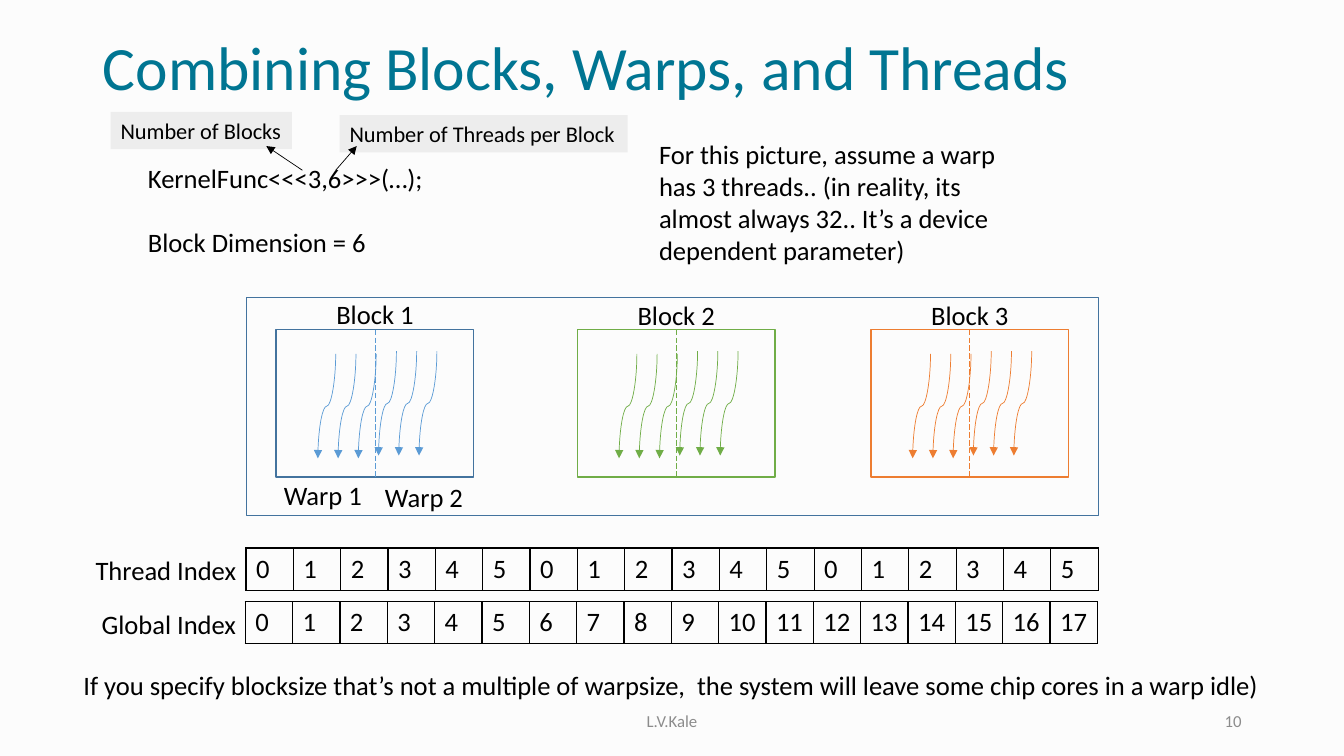
from dataclasses import dataclass

from lxml import etree
from pptx import Presentation
from pptx.dml.color import RGBColor
from pptx.enum.dml import MSO_LINE
from pptx.enum.shapes import MSO_CONNECTOR, MSO_SHAPE
from pptx.enum.text import MSO_ANCHOR, PP_ALIGN
from pptx.oxml.ns import qn
from pptx.util import Cm, Pt

STRAIGHT, CURVE = MSO_CONNECTOR.STRAIGHT, MSO_CONNECTOR.CURVE
RECTANGLE = MSO_SHAPE.RECTANGLE
LONG_DASH = MSO_LINE.LONG_DASH
LEFT, CENTER, RIGHT = PP_ALIGN.LEFT, PP_ALIGN.CENTER, PP_ALIGN.RIGHT
TOP, MIDDLE = MSO_ANCHOR.TOP, MSO_ANCHOR.MIDDLE
TITLE_ONLY = 5
SIDE_TOP, SIDE_BOTTOM = 0, 2


@dataclass(frozen=True)
class Theme:
    font: str = "Calibri"
    background: str = "FCFCFC"
    title: str = "007592"
    text: str = "000000"
    footer: str = "8C8C8C"
    label: str = "EDEDED"
    frame: str = "43739E"
    blue: str = "5B9BD5"
    green: str = "70AD47"
    orange: str = "ED7D31"
    title_size: float = 44
    body_size: float = 19
    label_size: float = 16
    footer_size: float = 12
    thin: float = 0.5
    medium: float = 1


THEME = Theme()
BLOCK_TOP, BLOCK_WIDTH, BLOCK_HEIGHT = 8.31, 4.98, 3.71
WARPS_PER_BLOCK, THREADS_PER_WARP = 2, 3
THREADS_PER_BLOCK = WARPS_PER_BLOCK * THREADS_PER_WARP
THREAD_INSET, THREAD_PITCH = 1.5, 0.51
THREAD_LENGTH, THREAD_SWAY = 2.63, 0.45
WARP_TOPS = (8.92, 8.85)
GRID_WIDTH, ROW_HEIGHT = 21.49, 1.06


def rgb(color):
    return RGBColor.from_string(color)


def format_text(frame, size, color=THEME.text, align=LEFT):
    for paragraph in frame.paragraphs:
        paragraph.alignment = align
        for run in paragraph.runs:
            run.font.name = THEME.font
            run.font.size = Pt(size)
            run.font.color.rgb = rgb(color)


def add_text(slide, text, left, top, width, height, size=THEME.body_size,
             color=THEME.text, align=LEFT, anchor=TOP):
    box = slide.shapes.add_textbox(Cm(left), Cm(top), Cm(width), Cm(height))
    frame = box.text_frame
    frame.word_wrap = True
    frame.vertical_anchor = anchor
    frame.text = text
    format_text(frame, size, color, align)
    return frame


def add_title(slide, text):
    title = slide.shapes.title
    title.left, title.top, title.width, title.height = Cm(2.34), Cm(0.71), Cm(29.21), Cm(2.13)
    title.text_frame.text = text
    title.text_frame.vertical_anchor = MIDDLE
    title.text_frame.paragraphs[0].line_spacing = 0.9
    format_text(title.text_frame, THEME.title_size, THEME.title)


def add_outline(shapes, left, top, width, height, color, weight):
    outline = shapes.add_shape(RECTANGLE, Cm(left), Cm(top), Cm(width), Cm(height))
    outline.shadow.inherit = False
    outline.fill.background()
    outline.line.color.rgb = rgb(color)
    outline.line.width = Pt(weight)
    return outline


def add_label(slide, text, left, top, width):
    label = slide.shapes.add_shape(RECTANGLE, Cm(left), Cm(top), Cm(width), Cm(0.94))
    label.shadow.inherit = False
    label.fill.solid()
    label.fill.fore_color.rgb = rgb(THEME.label)
    label.line.fill.background()
    label.text_frame.word_wrap = True
    label.text_frame.vertical_anchor = TOP
    label.text_frame.text = text
    format_text(label.text_frame, THEME.label_size)


def add_line(shapes, kind, start, end, color, dash=None, arrow=False):
    line = shapes.add_connector(kind, Cm(start[0]), Cm(start[1]), Cm(end[0]), Cm(end[1]))
    line.line.color.rgb = rgb(color)
    line.line.width = Pt(THEME.thin)
    if dash:
        line.line.dash_style = dash
    properties = line.element.spPr
    if arrow:
        etree.SubElement(properties.find(qn("a:ln")), qn("a:tailEnd"), type="triangle")
    etree.SubElement(properties, qn("a:effectLst"))
    return line


def add_thread(shapes, x, top, color):
    left = x - (THREAD_SWAY + THREAD_LENGTH) / 2
    middle = top + (THREAD_LENGTH - THREAD_SWAY) / 2
    thread = add_line(shapes, CURVE, (left, middle),
                      (left + THREAD_LENGTH, middle + THREAD_SWAY), color, arrow=True)
    thread.rotation = 90


def add_block(slide, name, left, label_top, color, border):
    block = slide.shapes.add_group_shape()
    for index in range(THREADS_PER_BLOCK):
        add_thread(block.shapes, left + THREAD_INSET + index * THREAD_PITCH,
                   WARP_TOPS[index // THREADS_PER_WARP], color)
    outline = add_outline(block.shapes, left, BLOCK_TOP, BLOCK_WIDTH, BLOCK_HEIGHT,
                          border, THEME.medium)
    center = left + BLOCK_WIDTH / 2
    divider = add_line(slide.shapes, STRAIGHT, (center, BLOCK_TOP),
                       (center, BLOCK_TOP + BLOCK_HEIGHT), color, dash=LONG_DASH)
    divider.begin_connect(outline, SIDE_TOP)
    divider.end_connect(outline, SIDE_BOTTOM)
    add_text(slide, name, left, label_top, BLOCK_WIDTH, ROW_HEIGHT, align=CENTER)


def format_cell(cell):
    properties = cell._tc.get_or_add_tcPr()
    for side in ("lnL", "lnR", "lnT", "lnB"):
        border = etree.SubElement(properties, qn(f"a:{side}"), w=str(Pt(THEME.medium)))
        fill = etree.SubElement(border, qn("a:solidFill"))
        etree.SubElement(fill, qn("a:srgbClr"), val=THEME.text)
    cell.fill.background()
    format_text(cell.text_frame, THEME.body_size)


def add_index_row(slide, name, values, left, top):
    table = slide.shapes.add_table(1, len(values), Cm(left), Cm(top),
                                   Cm(GRID_WIDTH), Cm(ROW_HEIGHT)).table
    table.first_row = False
    table.horz_banding = False
    for column, value in enumerate(values):
        table.columns[column].width = Cm(GRID_WIDTH / len(values))
        cell = table.cell(0, column)
        cell.text = str(value)
        format_cell(cell)
    add_text(slide, name, 1.63, top + 0.03, 4.57, ROW_HEIGHT, align=RIGHT)


def main():
    presentation = Presentation()
    presentation.slide_width, presentation.slide_height = Cm(33.87), Cm(19.05)
    slide = presentation.slides.add_slide(presentation.slide_layouts[TITLE_ONLY])
    slide.background.fill.solid()
    slide.background.fill.fore_color.rgb = rgb(THEME.background)
    add_title(slide, "Combining Blocks, Warps, and Threads")

    launch = add_text(slide, "KernelFunc<<<3,6>>>(…);\nBlock Dimension = 6",
                      3.48, 3.96, 10.13, 2.69)
    launch.paragraphs[1].space_before = Pt(23)
    add_text(slide, "For this picture, assume a warp has 3 threads.. (in reality, its "
             "almost always 32.. It’s a device dependent parameter)", 16.36, 3.35, 9.17, 3.51)
    add_label(slide, "Number of Blocks", 2.79, 2.82, 4.57)
    add_label(slide, "Number of Threads per Block", 8.56, 2.9, 7.26)
    for start, end in (((7.62, 4.29), (6.71, 3.68)), ((8.46, 4.29), (8.99, 3.68))):
        add_line(slide.shapes, STRAIGHT, start, end, THEME.text, arrow=True)

    add_outline(slide.shapes, 6.2, 7.49, GRID_WIDTH, 5.49, THEME.frame, THEME.thin)
    blocks = (
        ("Block 1", 6.96, 7.39, THEME.blue, THEME.frame),
        ("Block 2", 14.55, 7.42, THEME.green, THEME.green),
        ("Block 3", 21.95, 7.42, THEME.orange, THEME.orange),
    )
    for block in blocks:
        add_block(slide, *block)
    add_text(slide, "Warp 1", 4.39, 11.94, BLOCK_WIDTH, ROW_HEIGHT, align=RIGHT)
    add_text(slide, "Warp 2", 9.45, 11.99, BLOCK_WIDTH, ROW_HEIGHT)

    global_index = range(len(blocks) * THREADS_PER_BLOCK)
    thread_index = [index % THREADS_PER_BLOCK for index in global_index]
    add_index_row(slide, "Thread Index", thread_index, 6.2, 13.81)
    add_index_row(slide, "Global Index", global_index, 6.18, 15.16)

    add_text(slide, "If you specify blocksize that’s not a multiple of warpsize,  the system "
             "will leave some chip cores in a warp idle)", 1.63, 16.74, 30.56, ROW_HEIGHT,
             align=CENTER)
    for text, left, width, align in (("L.V.Kale", 11.22, 11.43, CENTER),
                                     ("10", 23.92, 7.62, RIGHT)):
        add_text(slide, text, left, 17.66, width, 1.01, THEME.footer_size, THEME.footer,
                 align, MIDDLE)
    presentation.save("out.pptx")


if __name__ == "__main__":
    main()
